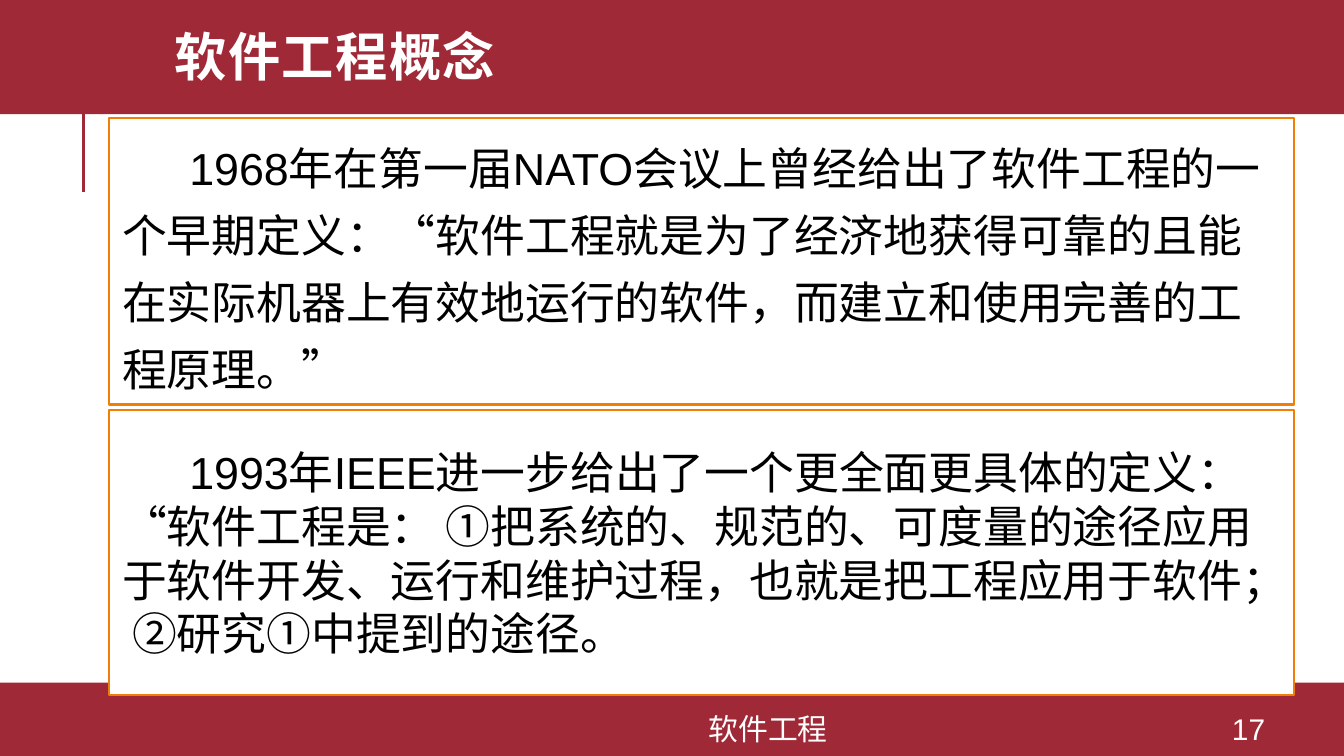
from lxml import etree
from pptx import Presentation, util as u
from pptx.dml.color import RGBColor
from pptx.enum import shapes, text
from pptx.oxml import ns

RED = RGBColor(0x9F, 0x29, 0x36)
ORANGE = RGBColor(0xF0, 0x7F, 0x09)
WHITE = RGBColor(0xFF, 0xFF, 0xFF)
BLACK = RGBColor(0, 0, 0)

DEFINITIONS = [
    ("1968年在第一届NATO会议上曾经给出了软件工程的一个早期定义："
     "“软件工程就是为了经济地获得可靠的且能在实际机器上有效地运行的软件，"
     "而建立和使用完善的工程原理。”", 0.88, 2.13, 1.25),
    ("1993年IEEE进一步给出了一个更全面更具体的定义："
     "“软件工程是： ①把系统的、规范的、可度量的途径应用于软件开发、运行和维护过程，"
     "也就是把工程应用于软件； ②研究①中提到的途径。", 3.05, 2.12, 1.0),
]


def write(sp, content, size=24, color=BLACK, font="Arial", bold=False,
          align=text.PP_ALIGN.LEFT, spacing=1.0, indent=0, tracking=0):
    tf = sp.text_frame
    tf.word_wrap = True
    tf.auto_size = text.MSO_AUTO_SIZE.NONE
    tf.vertical_anchor = text.MSO_ANCHOR.MIDDLE
    p = tf.paragraphs[0]
    p.alignment = align
    p.line_spacing = spacing
    if indent:
        pPr = p._p.get_or_add_pPr()
        pPr.set("marL", "0")
        pPr.set("indent", str(u.Inches(indent)))
    r = p.add_run()
    r.text = content
    r.font.name = font
    r.font.size = u.Pt(size)
    r.font.bold = bold
    r.font.color.rgb = color
    if tracking:
        r._r.get_or_add_rPr().set("spc", str(round(tracking * 100)))


class Deck:
    def __init__(self, width):
        self.prs = Presentation()
        self.prs.slide_width = u.Inches(width)
        self.prs.slide_height = u.Inches(width * 9 / 16)
        self.s = None

    def new_slide(self):
        self.s = self.prs.slides.add_slide(self.prs.slide_layouts[5])

    def title(self, content, x, y, w, h):
        sp = self.s.shapes.title
        sp.left, sp.top, sp.width, sp.height = map(u.Inches, (x, y, w, h))
        sp.element.getparent().append(sp.element)
        write(sp, content, size=28, color=WHITE, font="Montserrat",
              bold=True, spacing=0.8, tracking=0.8)

    def rect(self, x, y, w, h, fill, line=None):
        sp = self.s.shapes.add_shape(shapes.MSO_SHAPE.RECTANGLE,
                                     *map(u.Inches, (x, y, w, h)))
        sp.shadow.inherit = False
        sp.fill.solid()
        sp.fill.fore_color.rgb = fill
        if line is None:
            sp.line.fill.background()
        else:
            sp.line.color.rgb = line
            sp.line.width = u.Pt(1.25)
        return sp

    def line(self, x1, y1, x2, y2, color):
        c = self.s.shapes.add_connector(shapes.MSO_CONNECTOR.STRAIGHT,
                                        *map(u.Inches, (x1, y1, x2, y2)))
        c.line.color.rgb = color
        c.line.width = u.Pt(1.5)
        etree.SubElement(c.element.spPr, ns.qn("a:effectLst"))

    def footer(self, content, x, w):
        sp = self.s.shapes.add_textbox(*map(u.Inches, (x, 5.31, w, 0.23)))
        write(sp, content, size=16, color=WHITE, align=text.PP_ALIGN.CENTER)

    def definition(self, content, y, h, spacing):
        sp = self.rect(0.81, y, 8.82, h, WHITE, ORANGE)
        write(sp, content, spacing=spacing, indent=0.5)


def main():
    deck = Deck(10)
    deck.new_slide()
    deck.line(0.62, 1.43, 0.62, 0.68, RED)
    deck.rect(0, 5.08, 10, 0.55, RED)
    deck.rect(0, -0.03, 10, 0.88, RED)
    deck.title("软件工程概念", 1.2, 0, 8.49, 0.91)
    deck.footer("软件工程", 2.61, 6.21)
    deck.footer("17", 8.89, 0.8)
    for definition in DEFINITIONS:
        deck.definition(*definition)
    deck.prs.save("out.pptx")


if __name__ == "__main__":
    main()
